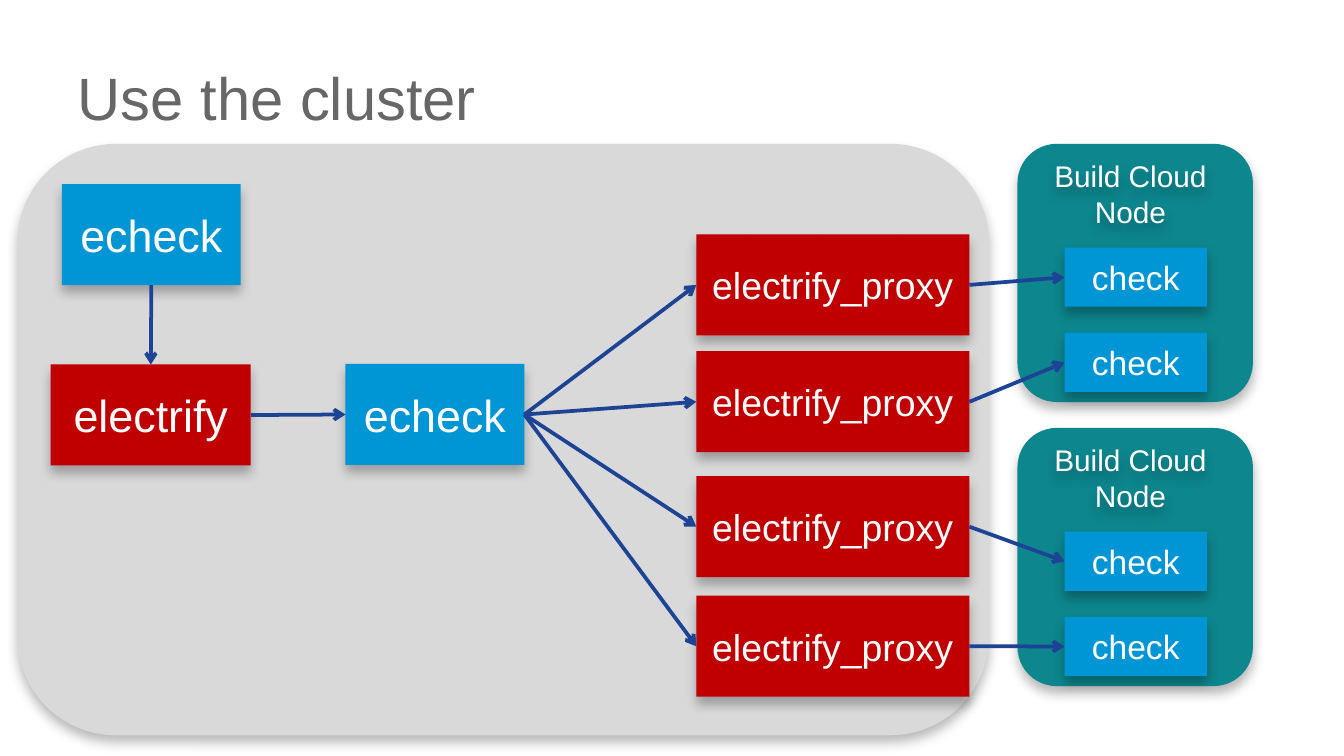
from dataclasses import dataclass

from lxml.etree import SubElement
from pptx import Presentation
from pptx.dml.color import RGBColor
from pptx.enum.shapes import MSO_CONNECTOR, MSO_SHAPE
from pptx.enum.text import MSO_ANCHOR, PP_ALIGN
from pptx.oxml.ns import qn
from pptx.util import Cm, Pt


@dataclass(frozen=True)
class Theme:
    font: str = "Arial"
    grey: str = "676767"
    panel: str = "D9D9D9"
    teal: str = "0D868E"
    blue: str = "0096D6"
    red: str = "C00000"
    navy: str = "1D4494"
    white: str = "FFFFFF"
    title: int = 32
    large: int = 24
    proxy: int = 20
    check: int = 18
    label: int = 16


TOP, LEFT, BOTTOM, RIGHT = range(4)


def write(shape, text, size, color, font, align=PP_ALIGN.CENTER,
          pad=(0.2, 0.1), space=None):
    frame = shape.text_frame
    frame.word_wrap = True
    frame.vertical_anchor = MSO_ANCHOR.MIDDLE
    frame.margin_left = frame.margin_right = Cm(pad[0])
    frame.margin_top = frame.margin_bottom = Cm(pad[1])
    line = frame.paragraphs[0]
    line.alignment = align
    line.line_spacing = space
    run = line.add_run()
    run.text = text
    run.font.name = font
    run.font.size = Pt(size)
    run.font.color.rgb = RGBColor.from_string(color)


def shade(shape):
    """Soft shadow that falls straight down."""
    shape.shadow.inherit = False
    effects = shape._element.spPr.find(qn("a:effectLst"))
    outer = SubElement(effects, qn("a:outerShdw"), blurRad=str(Pt(6)),
                       dist=str(Pt(4)), dir="5400000", rotWithShape="0")
    black = SubElement(outer, qn("a:srgbClr"), val="000000")
    SubElement(black, qn("a:alpha"), val="27000")


class Canvas:
    def __init__(self, slide, theme):
        self.slide = slide
        self.theme = theme

    def text(self, area, text, size, color, **style):
        box = self.slide.shapes.add_textbox(*map(Cm, area))
        write(box, text, size, color, self.theme.font, **style)
        return box

    def shape(self, kind, area, fill):
        item = self.slide.shapes.add_shape(kind, *map(Cm, area))
        item.fill.solid()
        item.fill.fore_color.rgb = RGBColor.from_string(fill)
        item.line.fill.background()
        shade(item)
        return item

    def panel(self, area, fill):
        return self.shape(MSO_SHAPE.ROUNDED_RECTANGLE, area, fill)

    def box(self, area, fill, text, size):
        item = self.shape(MSO_SHAPE.RECTANGLE, area, fill)
        write(item, text, size, self.theme.white, self.theme.font)
        return item

    def node(self, left, top):
        """Cloud node with its label; returns the two check boxes."""
        look = self.theme
        self.panel((left, top, 4.45, 4.88), look.teal)
        label = self.text((left, top + 0.26, 4.27, 1.35), "Build Cloud Node",
                          look.label, look.white)
        shade(label)
        return [self.box((left + 0.89, top + drop, 2.69, 1.12),
                         look.blue, "check", look.check)
                for drop in (1.96, 3.57)]

    def arrow(self, start, end, leave=RIGHT, enter=LEFT):
        link = self.slide.shapes.add_connector(MSO_CONNECTOR.STRAIGHT, 0, 0, 0, 0)
        link.begin_connect(start, leave)
        link.end_connect(end, enter)
        link.line.width = Pt(2)
        link.line.color.rgb = RGBColor.from_string(self.theme.navy)
        SubElement(link.line._get_or_add_ln(), qn("a:tailEnd"), type="arrow")
        SubElement(link._element.spPr, qn("a:effectLst"))


def main():
    deck = Presentation()
    deck.slide_width, deck.slide_height = Cm(25.4), Cm(14.29)
    look = Theme()
    page = Canvas(deck.slides.add_slide(deck.slide_layouts[6]), look)

    # Title
    page.text((1.22, 0.94, 23.19, 2.03), "Use the cluster", look.title, look.grey,
              align=PP_ALIGN.LEFT, pad=(0.25, 0.13), space=0.8)

    # Host panel and cloud nodes
    page.panel((0.33, 2.72, 18.36, 11.18), look.panel)
    checks = [check for top in (2.72, 8.09) for check in page.node(19.23, top)]

    # Processes on the host
    first = page.box((1.17, 3.48, 3.38, 1.91), look.blue, "echeck", look.large)
    spawn = page.box((0.96, 6.89, 3.78, 1.91), look.red, "electrify", look.large)
    second = page.box((6.53, 6.88, 3.38, 1.91), look.blue, "echeck", look.large)
    proxies = [page.box((13.16, top, 5.16, 1.91), look.red,
                        "electrify_proxy", look.proxy)
               for top in (4.43, 6.64, 9, 11.26)]

    # Flow
    page.arrow(first, spawn, BOTTOM, TOP)
    page.arrow(spawn, second)
    for proxy, check in zip(proxies, checks):
        page.arrow(second, proxy)
        page.arrow(proxy, check)

    deck.save("out.pptx")


if __name__ == "__main__":
    main()
